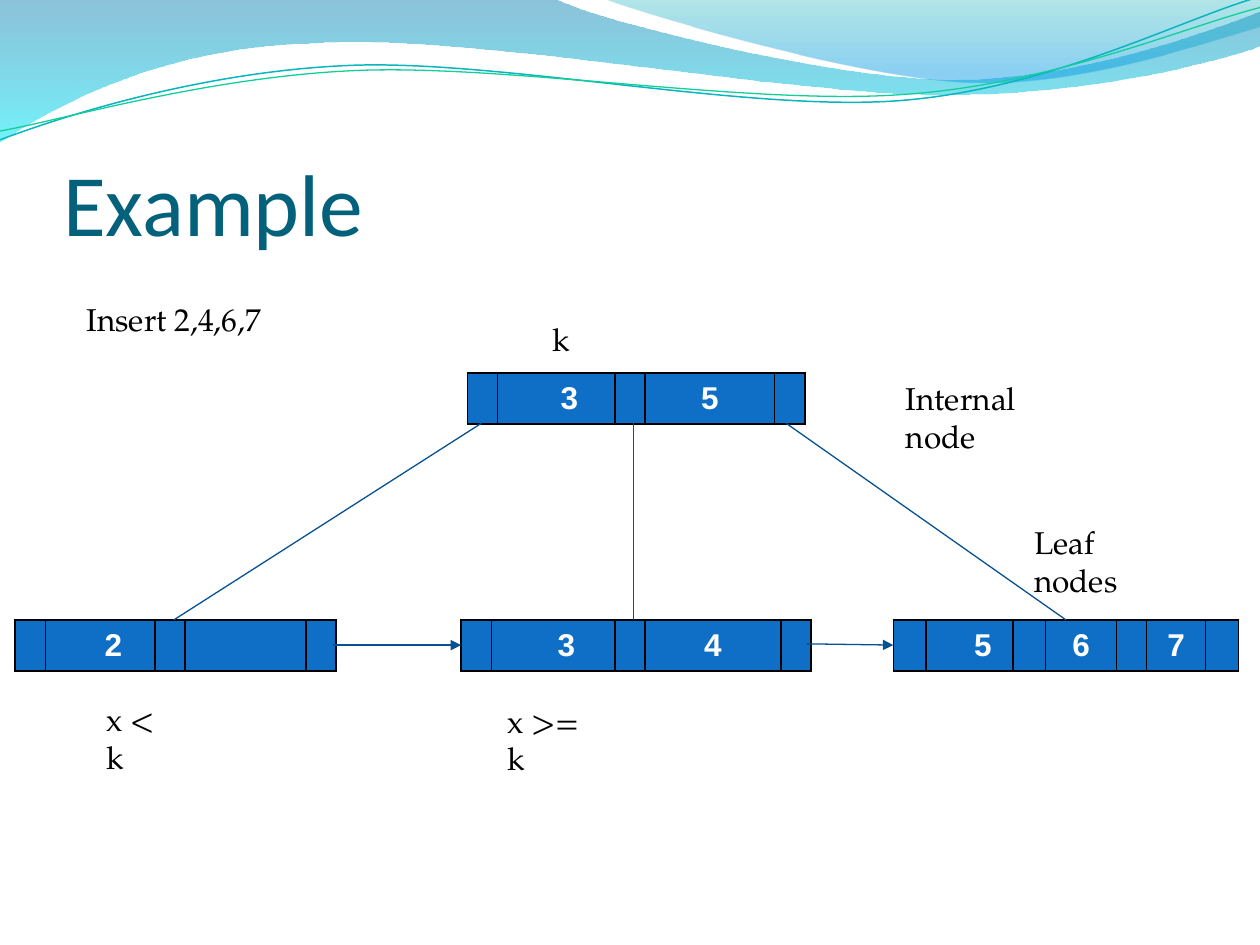
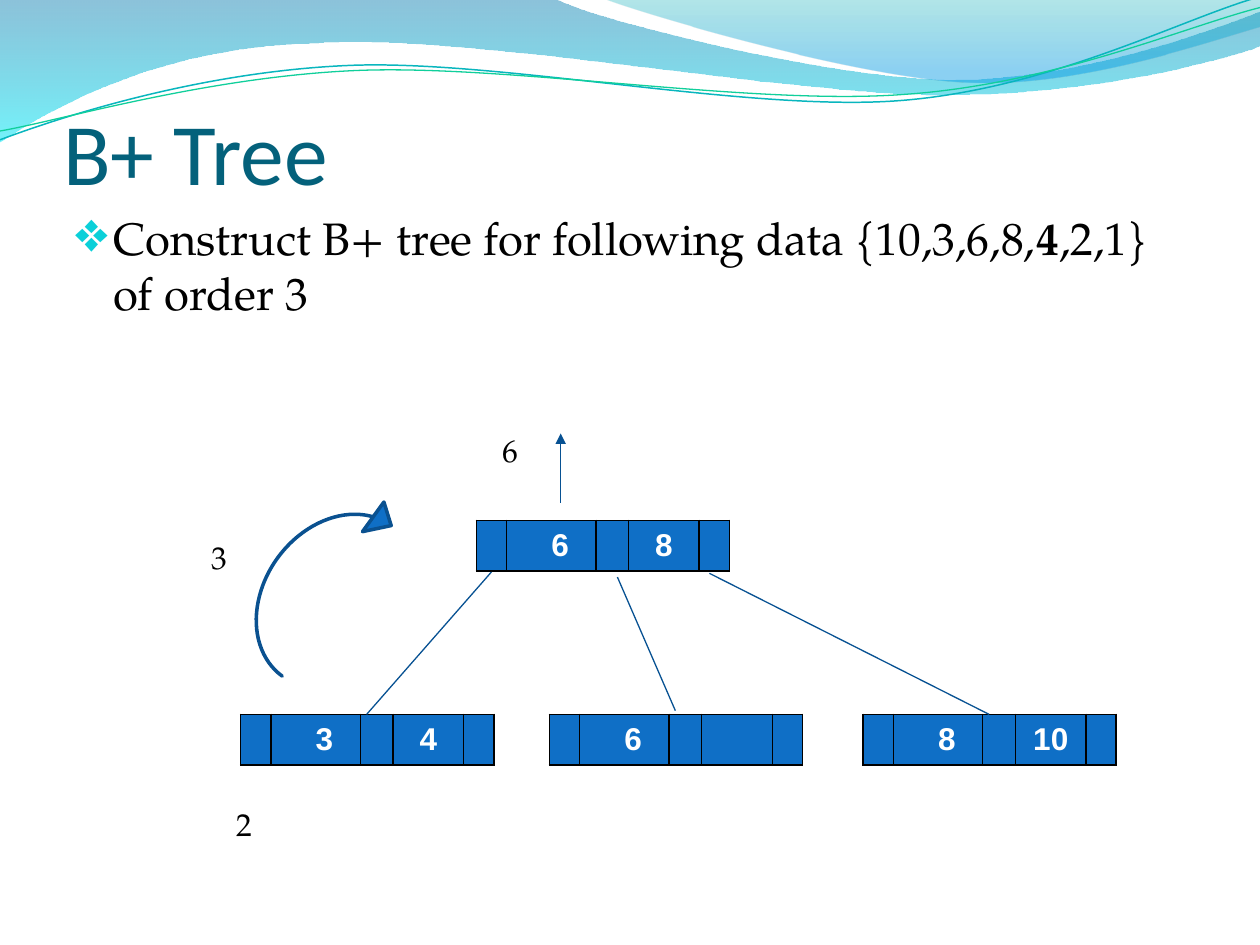
from dataclasses import dataclass

from lxml.etree import SubElement
from pptx import Presentation
from pptx.dml.color import RGBColor
from pptx.enum.shapes import MSO_CONNECTOR, MSO_SHAPE
from pptx.enum.text import MSO_ANCHOR, MSO_AUTO_SIZE, PP_ALIGN
from pptx.oxml.ns import qn
from pptx.util import Inches, Pt


@dataclass(frozen=True)
class Theme:
    title_color: str = "04617B"
    text_color: str = "000000"
    node_fill: str = "0F6FC6"
    node_border: str = "000000"
    key_color: str = "FFFFFF"
    link_color: str = "075192"
    arc_color: str = "0A5190"
    bullet_color: str = "0BD0D9"
    title_font: str = "Calibri"
    text_font: str = "TeX Gyre Pagella"
    key_font: str = "Arial"
    title_size: float = 50
    body_size: float = 26
    label_size: float = 18
    bullet_percent: int = 125
    link_width: float = 0.75
    border_width: float = 1
    arc_width: float = 2


BANDS = [
    ([(0, 0), (4.4, -0.01),
      ((4.76, 0.17), (6.64, 0.63), (7.58, 0.63)),
      ((8.53, 0.63), (9.58, 0.26), (10, 0.09)),
      (10.01, 0.36),
      ((9.83, 0.44), (8.7, 0.76), (7.46, 0.75)),
      ((6.22, 0.75), (3.82, 0.28), (2.57, 0.34)),
      ((1.29, 0.36), (0.46, 0.83), (-0.01, 1.13)),
      (0, 0)],
     [(0, "0079AD", 45), (1, "00E9F7", 55)]),
    ([(4.79, -0.01),
      ((5.09, 0.11), (6.82, 0.62), (7.69, 0.65)),
      ((8.56, 0.69), (9.61, 0.32), (10, 0.21)),
      (10, 0), (4.79, -0.01)],
     [(0, "00ABB4", 30), (0.8, "0099E4", 45)]),
]
RIPPLES = [
    ([(0, 1.11),
      ((0.48, 0.93), (1.58, 0.57), (2.77, 0.52)),
      ((3.95, 0.47), (5.93, 0.89), (7.13, 0.8)),
      ((8.33, 0.71), (9.38, 0.15), (9.98, -0.02))], "09B6BE", 0.85),
    ([(0, 1.04),
      ((0.47, 0.96), (1.64, 0.61), (2.83, 0.56)),
      ((4.03, 0.51), (5.97, 0.84), (7.17, 0.75)),
      ((8.36, 0.67), (9.41, 0.21), (10, 0.06))], "10CF9B", 0.75),
]
ROW_HEIGHT = 0.4
ORDER_3_COLUMNS = [0.24, 0.71, 0.26, 0.56, 0.24]


def rgb(color):
    return RGBColor.from_string(color)


def is_curve(step):
    return isinstance(step[0], tuple)


class Deck:
    def __init__(self, theme):
        self.theme = theme
        self.presentation = Presentation()
        self.presentation.slide_width = Inches(10)
        self.presentation.slide_height = Inches(7.5)
        self.layout = self.presentation.slide_layouts[5]
        self.slide = None

    def add_slide(self, heading, top):
        first = self.slide is None
        self.slide = self.presentation.slides.add_slide(self.layout)
        if first:
            self.share_waves()
        title = self.slide.shapes.title
        title.left, title.top = Inches(0.5), Inches(top)
        title.width, title.height = Inches(9), Inches(1.25)
        frame = title.text_frame
        frame.auto_size = MSO_AUTO_SIZE.NONE
        frame.vertical_anchor = MSO_ANCHOR.BOTTOM
        frame.margin_left = frame.margin_right = frame.margin_bottom = 0
        frame.margin_top = Inches(0.05)
        paragraph = frame.paragraphs[0]
        paragraph.alignment = PP_ALIGN.LEFT
        self.run(paragraph, heading, self.theme.title_font, self.theme.title_size,
                 self.theme.title_color)

    def share_waves(self):
        waves = [self.band(*band) for band in BANDS]
        waves += [self.ripple(*ripple) for ripple in RIPPLES]
        for position, wave in enumerate(waves):
            wave.element.nvSpPr.cNvPr.id = 20 + position
            self.layout.shapes.element.insert(2 + position, wave.element)

    def outline(self, steps, close):
        points = []
        for step in steps:
            points += step if is_curve(step) else [step]
        points = [(Inches(x), Inches(y)) for x, y in points]
        builder = self.slide.shapes.build_freeform(*points[0])
        builder.add_line_segments(points[1:], close=close)
        shape = builder.convert_to_shape()
        shape.shadow.inherit = False
        self.bend(shape, steps[1:])
        return shape

    def bend(self, shape, steps):
        segments = iter(shape.element.xpath(".//a:path/a:lnTo"))
        for step in steps:
            segment = next(segments)
            if not is_curve(step):
                continue
            curve = SubElement(segment.getparent(), qn("a:cubicBezTo"))
            segment.addprevious(curve)
            for part in (segment, next(segments), next(segments)):
                curve.append(part[0])
                part.getparent().remove(part)

    def band(self, steps, stops):
        shape = self.outline(steps, True)
        shape.line.fill.background()
        shape.fill.gradient()
        shape.fill.gradient_angle = 270
        for stop, (position, color, _) in zip(shape.fill.gradient_stops, stops):
            stop.position = position
            stop.color.rgb = rgb(color)
        colors = shape.element.xpath(".//a:gs/a:srgbClr")
        for color, (_, _, opacity) in zip(colors, stops):
            SubElement(color, qn("a:alpha"), val=str(opacity * 1000))
        return shape

    def ripple(self, steps, color, width):
        shape = self.outline(steps, False)
        shape.fill.background()
        shape.line.color.rgb = rgb(color)
        shape.line.width = Pt(width)
        return shape

    def run(self, paragraph, words, font, size, color, bold=False):
        run = paragraph.add_run()
        run.text = words
        run.font.name = font
        run.font.size = Pt(size)
        run.font.color.rgb = rgb(color)
        run.font.bold = bold

    def paragraph(self, left, top, width, height):
        box = self.slide.shapes.add_textbox(Inches(left), Inches(top),
                                            Inches(width), Inches(height))
        box.text_frame.word_wrap = True
        return box.text_frame.paragraphs[0]

    def label(self, words, left, top, width):
        self.run(self.paragraph(left, top, width, ROW_HEIGHT), words,
                 self.theme.text_font, self.theme.label_size, self.theme.text_color)

    def bullet(self, pieces, left, top, width, height):
        paragraph = self.paragraph(left, top, width, height)
        properties = paragraph._p.get_or_add_pPr()
        properties.set("marL", str(Inches(0.3)))
        properties.set("indent", str(Inches(-0.3)))
        color = SubElement(properties, qn("a:buClr"))
        SubElement(color, qn("a:srgbClr"), val=self.theme.bullet_color)
        SubElement(properties, qn("a:buSzPct"), val=str(self.theme.bullet_percent * 1000))
        SubElement(properties, qn("a:buChar"), char="❖")
        for words, bold in pieces:
            self.run(paragraph, words, self.theme.text_font, self.theme.body_size,
                     self.theme.text_color, bold)

    def node(self, left, top, columns, keys, first_indent):
        table = self.slide.shapes.add_table(
            1, len(columns), Inches(left), Inches(top),
            Inches(sum(columns)), Inches(ROW_HEIGHT)).table
        table.first_row = table.horz_banding = False
        table.rows[0].height = Inches(ROW_HEIGHT)
        for column, width in zip(table.columns, columns):
            column.width = Inches(width)
        cells = list(table.iter_cells())
        for cell in cells:
            cell.fill.solid()
            cell.fill.fore_color.rgb = rgb(self.theme.node_fill)
            cell.vertical_anchor = MSO_ANCHOR.MIDDLE
            self.border(cell)
        cells[1].margin_left = Inches(0.1 + first_indent)
        for cell, key in zip(cells[1::2], keys):
            paragraph = cell.text_frame.paragraphs[0]
            paragraph.alignment = PP_ALIGN.CENTER
            self.run(paragraph, key, self.theme.key_font, self.theme.label_size,
                     self.theme.key_color, True)

    def border(self, cell):
        properties = cell._tc.get_or_add_tcPr()
        for position, side in enumerate(("lnL", "lnR", "lnT", "lnB")):
            edge = SubElement(properties, qn(f"a:{side}"),
                              w=str(Pt(self.theme.border_width)))
            fill = SubElement(edge, qn("a:solidFill"))
            SubElement(fill, qn("a:srgbClr"), val=self.theme.node_border)
            properties.insert(position, edge)

    def link(self, start, end, arrow=False):
        connector = self.slide.shapes.add_connector(
            MSO_CONNECTOR.STRAIGHT, *map(Inches, start + end))
        connector.line.color.rgb = rgb(self.theme.link_color)
        connector.line.width = Pt(self.theme.link_width)
        properties = connector.element.spPr
        if arrow:
            SubElement(properties.find(qn("a:ln")), qn("a:tailEnd"), type="triangle")
        SubElement(properties, qn("a:effectLst"))

    def arc(self, left, top, width, height, rotation, adjustments):
        shape = self.slide.shapes.add_shape(
            MSO_SHAPE.CURVED_LEFT_ARROW, Inches(left), Inches(top),
            Inches(width), Inches(height))
        shape.rotation = rotation
        for position, value in enumerate(adjustments):
            shape.adjustments[position] = value
        shape.shadow.inherit = False
        shape.fill.solid()
        shape.fill.fore_color.rgb = rgb(self.theme.node_fill)
        shape.line.color.rgb = rgb(self.theme.arc_color)
        shape.line.width = Pt(self.theme.arc_width)


def add_example(deck):
    deck.add_slide("Example", 0.77)
    leaf_top = 4.92
    for left, top, columns, keys in (
        (3.71, 2.96, [0.23, 0.93, 0.23, 1.03, 0.23], "35"),
        (0.12, leaf_top, [0.23, 0.87, 0.23, 0.96, 0.23], "2"),
        (3.66, leaf_top, [0.23, 0.98, 0.23, 1.08, 0.23], "34"),
        (7.09, leaf_top, [0.26, 0.69, 0.26, 0.56, 0.24, 0.47, 0.26], "567"),
    ):
        deck.node(left, top, columns, keys, 0.21)
    for words, left, top, width in (
        ("k", 4.29, 2.49, 0.34),
        ("x < k", 0.75, 5.51, 0.72),
        ("x >= k", 3.93, 5.52, 0.86),
        ("Internal node", 7.09, 2.96, 1.65),
        ("Leaf nodes", 8.11, 4.1, 1.35),
        ("Insert 2,4,6,7", 0.59, 2.33, 2.36),
    ):
        deck.label(words, left, top, width)
    for root_x, leaf_x in ((3.82, 1.38), (5.03, 5.03), (6.24, 8.46)):
        deck.link((root_x, 3.36), (leaf_x, leaf_top))
    deck.link((2.64, 5.12), (3.66, 5.12), arrow=True)
    deck.link((6.4, 5.11), (7.09, 5.12), arrow=True)


def add_construction(deck):
    deck.add_slide("B+ Tree", 0.36)
    deck.bullet([("Construct B+ tree for following data {10,3,6,8,", False),
                 ("4", True), (",2,1} of order 3", False)], 0.5, 1.62, 9, 5.59)
    for left, top, keys in (
        (3.78, 4.13, ["6", "8"]),
        (1.91, 5.67, ["3", "4"]),
        (4.36, 5.67, ["6"]),
        (6.85, 5.67, ["8", "10"]),
    ):
        deck.node(left, top, ORDER_3_COLUMNS, keys, 0.14)
    deck.link((3.9, 4.54), (2.91, 5.67))
    deck.link((4.9, 4.58), (5.36, 5.64))
    deck.link((5.63, 4.55), (7.85, 5.67))
    deck.arc(2.19, 3.73, 0.58, 1.62, 215.9, (0, 0.5, 0.27))
    deck.link((4.45, 3.99), (4.45, 3.44), arrow=True)
    for words, left, top in (("2", 1.78, 6.34), ("3", 1.58, 4.22), ("6", 3.89, 3.37)):
        deck.label(words, left, top, 0.55)


def main():
    deck = Deck(Theme())
    add_example(deck)
    add_construction(deck)
    deck.presentation.save("out.pptx")


if __name__ == "__main__":
    main()
